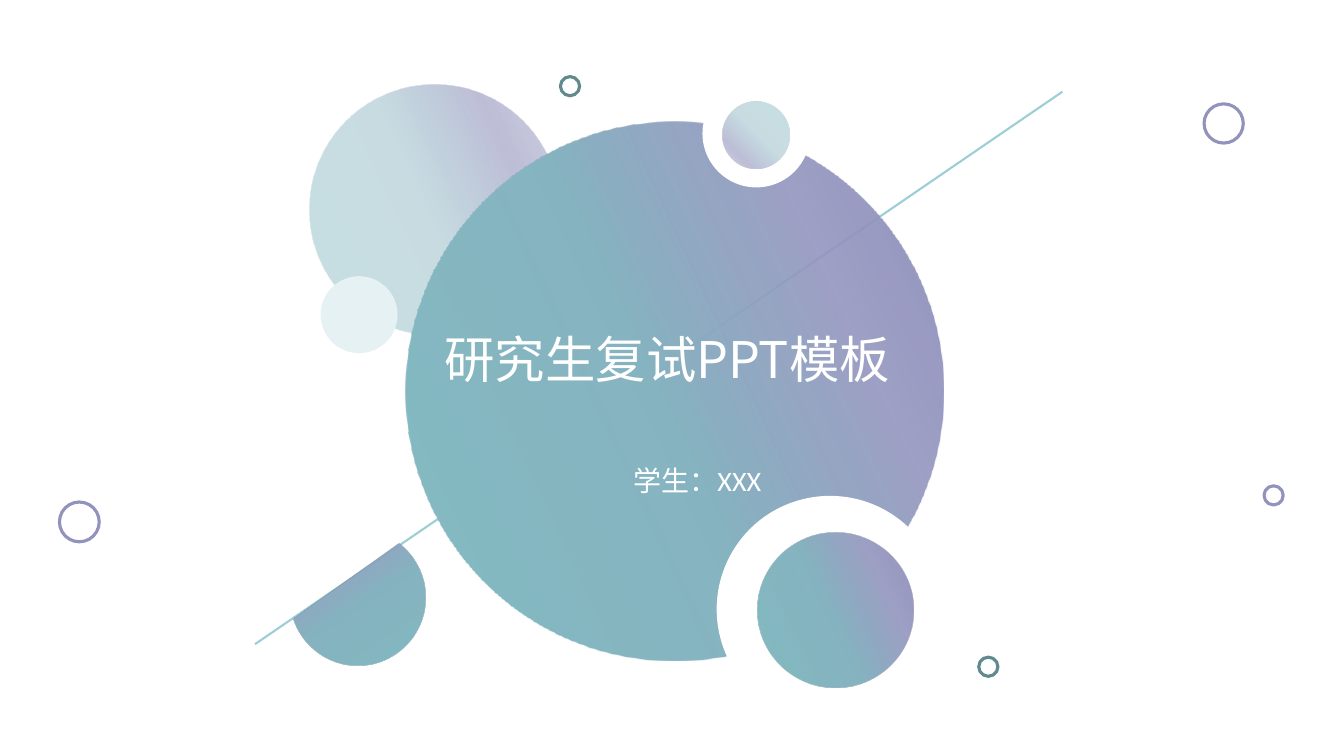
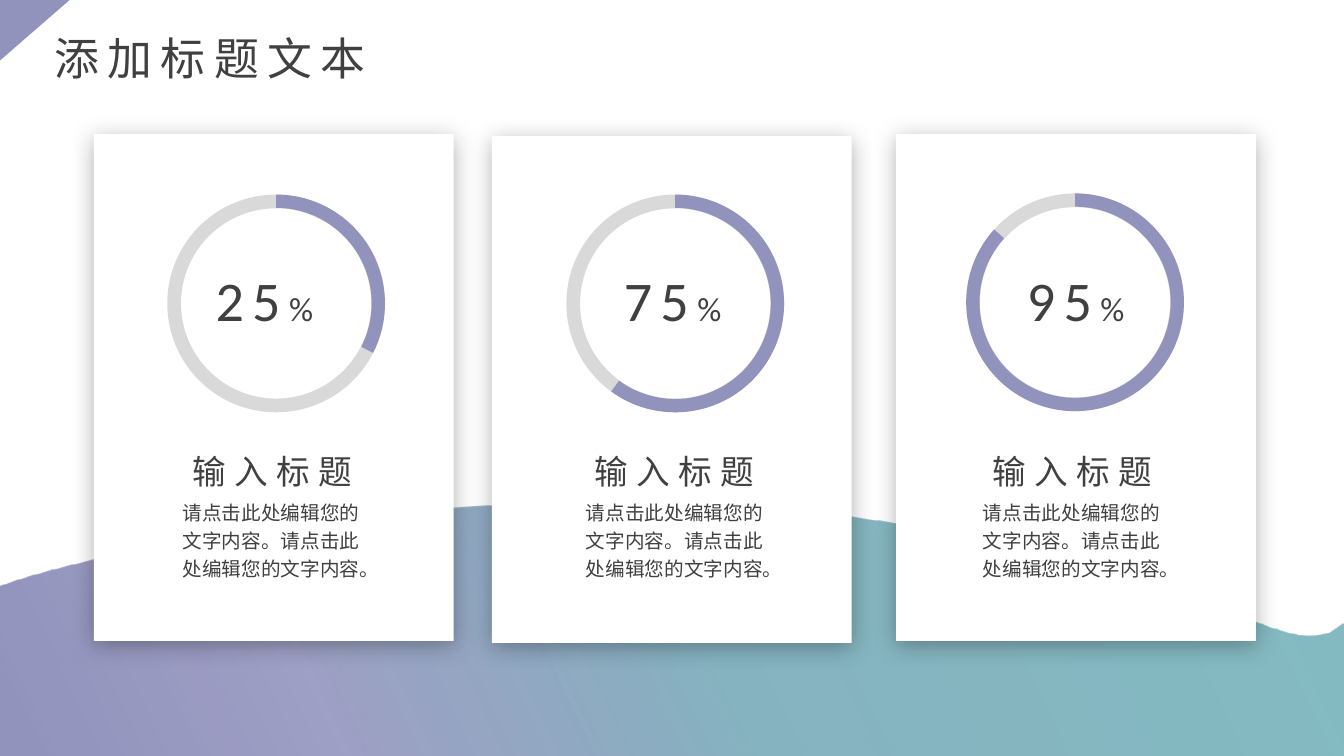
import pptx
import pptx.util
import pptx.dml.color
import pptx.enum.shapes
import pptx.enum.text
import pptx.oxml
import pptx.oxml.ns

Pt = pptx.util.Pt
RGB = pptx.dml.color.RGBColor
SHAPE = pptx.enum.shapes.MSO_SHAPE
ALIGN = pptx.enum.text.PP_ALIGN
ANCHOR = pptx.enum.text.MSO_ANCHOR
qn = pptx.oxml.ns.qn
A_NS = pptx.oxml.ns.nsdecls("a")

# Shared colours and fonts
WHITE = RGB(0xFF, 0xFF, 0xFF)
BLACK = RGB(0, 0, 0)
INK = RGB(0x40, 0x40, 0x40)
GREY = RGB(0xD9, 0xD9, 0xD9)
PURPLE = RGB(0x92, 0x93, 0xBD)
BLUE = RGB(0x86, 0xB3, 0xC0)
TEAL = RGB(0x83, 0xBB, 0xC1)
DARK_TEAL = RGB(0x61, 0x8A, 0x8F)
PALE_TEAL = RGB(0xE6, 0xF1, 0xF3)
LINE_TEAL = RGB(0x9D, 0xCE, 0xD6)
LATIN, CJK = "Calibri", "Noto Sans CJK SC"

# Gradient stops: position %, colour, opacity %
STRONG = [(0, PURPLE, 100), (23, PURPLE, 88), (52, BLUE, 100), (100, TEAL, 100)]
SOFT = [(0, PURPLE, 41), (23, PURPLE, 60), (52, BLUE, 46), (99, TEAL, 46)]

# Cover: circles as left, top, diameter, fill (colour or stops and angle)
COVER_TITLE = "研究生复试PPT模板"
STUDENT = "学生：XXX"
DIAGONAL = (758.9, 65.5, 182.2, 460.1)
HALF_MOON = (207.4, 378.7, 96.5, 96.5)
DISCS = [
    (221, 60.5, 178.6, (SOFT, 155)),
    (289.4, 87.1, 384.5, (STRONG, 155)),
    (501.8, 56.9, 77, WHITE),
    (511.9, 354.2, 162, WHITE),
    (229, 197.3, 55, PALE_TEAL),
    (541.4, 380.2, 111, (STRONG, 155)),
    (516.2, 72.7, 48, (SOFT, 315)),
]
RINGS = [
    (860.1, 74.2, 28, PURPLE),
    (902.9, 347, 13.7, PURPLE),
    (400.3, 54.7, 13.7, DARK_TEAL),
    (699.1, 469.4, 13.7, DARK_TEAL),
    (42.5, 358.6, 28.4, PURPLE),
]

# Percentage slide
PAGE_TITLE = "添加标题文本"
HEADING = "输入标题"
BODY = "请点击此处编辑您的文字内容。请点击此处编辑您的文字内容。"
CARDS = [
    dict(percent="25", sweep=117, card=(67, 95.8), dial=(119.5, 139),
         value=146.9, heading=130.3, body=117.4),
    dict(percent="75", sweep=216, card=(351.4, 97.2), dial=(404.6, 139),
         value=438.5, heading=417.6, body=405.4),
    dict(percent="95", sweep=312, card=(640.1, 95.8), dial=(690.2, 138.2),
         value=726.5, heading=702, body=689),
]
CARD_W, CARD_H, DIAL = 257, 362, 155.5
VALUE_BOTTOM, HEADING_BOTTOM, BODY_BOTTOM = 241.4, 354.4, 418.3

# Crest of the wave: start, then two control points and an end per curve
WAVE_START = (-0.7, 419)
WAVE = [
    ((25.2, 409), (67, 399.6), (100.8, 392.4)),
    ((152.6, 382.3), (205.2, 373), (250.6, 368.6)),
    ((281.5, 365.8), (341.3, 360.7), (392.4, 360)),
    ((453.6, 358.6), (496.8, 355.7), (555.1, 364.3)),
    ((596.9, 366.5), (622.1, 371.5), (657.4, 376.6)),
    ((712.8, 385.2), (793.4, 402.5), (833, 418.3)),
    ((898.6, 442.8), (896.4, 446.4), (927.4, 453.6)),
    ((954, 455.8), (952.6, 446.4), (960.5, 445)),
]
WAVE_FLOOR = [(961.2, 540), (-0.7, 540)]
CURVE_STEPS = 12


def paint(shape, fill=None, line=None):
    """Fill with a colour, a (stops, angle) gradient or nothing."""
    shape.shadow.inherit = False
    if fill is None:
        shape.fill.background()
    elif isinstance(fill, RGB):
        shape.fill.solid()
        shape.fill.fore_color.rgb = fill
    else:
        stops, angle = fill
        shape.fill.gradient()
        gradient = shape.element.spPr.find(qn("a:gradFill"))
        marks = "".join(
            f'<a:gs pos="{pos * 1000}"><a:srgbClr val="{color}">'
            f'<a:alpha val="{alpha * 1000}"/></a:srgbClr></a:gs>'
            for pos, color, alpha in stops)
        gradient.getparent().replace(gradient, pptx.oxml.parse_xml(
            f'<a:gradFill {A_NS} rotWithShape="1"><a:gsLst>{marks}</a:gsLst>'
            f'<a:lin ang="{angle * 60000}" scaled="0"/></a:gradFill>'))
    if line is None:
        shape.line.fill.background()
    else:
        shape.line.color.rgb = line
        shape.line.width = Pt(2.25)


def add_part(slide, kind, box, fill=None, line=None, adjust=(), rotation=0):
    shape = slide.shapes.add_shape(kind, *map(Pt, box))
    for index, value in enumerate(adjust):
        shape.adjustments[index] = value
    shape.rotation = rotation
    paint(shape, fill, line)
    return shape


def write(shape, runs, color, align=ALIGN.LEFT, leading=None, spacing=0,
          latin=LATIN, anchor=ANCHOR.BOTTOM):
    """Write one paragraph of (text, size) runs."""
    frame = shape.text_frame
    frame.word_wrap = True
    frame.auto_size = pptx.enum.text.MSO_AUTO_SIZE.NONE
    frame.vertical_anchor = anchor
    paragraph = frame.paragraphs[0]
    paragraph.alignment = align
    if leading:
        paragraph.line_spacing = Pt(leading)
    for text, size in runs:
        run = paragraph.add_run()
        run.text = text
        run.font.size = Pt(size)
        run.font.color.rgb = color
        run.font.name = latin
        props = run.font._element
        props.append(pptx.oxml.parse_xml(f'<a:ea {A_NS} typeface="{CJK}"/>'))
        if spacing:
            props.set("spc", str(spacing * 100))


def add_text(slide, box, runs, color, **style):
    write(slide.shapes.add_textbox(*map(Pt, box)), runs, color, **style)


def set_title(slide, box, runs, color, **style):
    title = slide.shapes.title
    title.left, title.top, title.width, title.height = map(Pt, box)
    write(title, runs, color, **style)
    title.element.getparent().append(title.element)  # bring to front


def add_wave(slide):
    points, start = [], WAVE_START
    for first, second, end in WAVE:
        for step in range(1, CURVE_STEPS + 1):
            t = step / CURVE_STEPS
            u = 1 - t
            points.append(tuple(
                u**3 * a + 3 * u * u * t * b + 3 * u * t * t * c + t**3 * d
                for a, b, c, d in zip(start, first, second, end)))
        start = end
    outline = slide.shapes.build_freeform(*map(Pt, WAVE_START), scale=1.0)
    outline.add_line_segments(
        [(Pt(x), Pt(y)) for x, y in points + WAVE_FLOOR], close=True)
    paint(outline.convert_to_shape(), (STRONG, 335))


def add_card(slide, card):
    # Panel with a soft shadow
    panel = add_part(slide, SHAPE.RECTANGLE,
                     (*card["card"], CARD_W, CARD_H), WHITE)
    panel.element.spPr.find(qn("a:effectLst")).append(pptx.oxml.parse_xml(
        f'<a:outerShdw {A_NS} blurRad="{Pt(17)}" dist="{Pt(3)}" '
        f'dir="5400000" algn="t" rotWithShape="0"><a:srgbClr val="{BLACK}">'
        '<a:alpha val="29000"/></a:srgbClr></a:outerShdw>'))
    # Dial: the arc runs clockwise from the top; 0.6 per degree
    dial = (*card["dial"], DIAL, DIAL)
    add_part(slide, SHAPE.DONUT, dial, GREY, adjust=[0.063])
    end = (270 + card["sweep"]) % 360
    add_part(slide, SHAPE.BLOCK_ARC, dial, PURPLE,
             adjust=[270 * 0.6, end * 0.6, 0.061])
    # Texts, each standing on its bottom edge
    add_text(slide, (card["heading"], HEADING_BOTTOM - 28.8, 139, 28.8),
             [(HEADING, 24)], INK, leading=40, spacing=6)
    add_text(slide, (card["body"], BODY_BOTTOM - 62, 152.6, 62),
             [(BODY, 14)], INK, align=ALIGN.CENTER, leading=20)
    add_text(slide, (card["value"], VALUE_BOTTOM - 28.8, 100, 28.8),
             [(card["percent"], 40), ("%", 24)], INK, leading=40, spacing=6)


def build_cover(slide):
    diagonal = slide.shapes.add_connector(
        pptx.enum.shapes.MSO_CONNECTOR.STRAIGHT, *map(Pt, DIAGONAL))
    diagonal.line.color.rgb = LINE_TEAL
    diagonal.line.width = Pt(1.5)
    diagonal.element.spPr.append(
        pptx.oxml.parse_xml(f"<a:effectLst {A_NS}/>"))
    add_part(slide, SHAPE.CHORD, HALF_MOON, (STRONG, 155),
             adjust=[27.12, 156.01], rotation=262)
    for left, top, size, fill in DISCS:
        add_part(slide, SHAPE.OVAL, (left, top, size, size), fill)
    for left, top, size, color in RINGS:
        add_part(slide, SHAPE.OVAL, (left, top, size, size), line=color)
    add_text(slide, (409.7, 327.6, 141.1, 31.7), [(STUDENT, 20)], WHITE,
             align=ALIGN.RIGHT, anchor=ANCHOR.TOP)
    set_title(slide, (310.3, 230.4, 379.4, 51.1), [(COVER_TITLE, 36)], WHITE,
              latin=CJK, anchor=ANCHOR.TOP)


def build_percentages(slide):
    add_wave(slide)
    for card in CARDS:
        add_card(slide, card)
    add_part(slide, SHAPE.ISOSCELES_TRIANGLE, (0, 0, 49.7, 43.2), PURPLE,
             adjust=[1], rotation=180)
    set_title(slide, (31.7, 35.3, 312.5, 28.8), [(PAGE_TITLE, 32)], INK,
              leading=40, spacing=6)


def main():
    deck = pptx.Presentation()
    deck.slide_width, deck.slide_height = Pt(960), Pt(540)
    title_only = deck.slide_layouts[5]
    for build in (build_cover, build_percentages):
        build(deck.slides.add_slide(title_only))
    deck.save("out.pptx")


if __name__ == "__main__":
    main()
